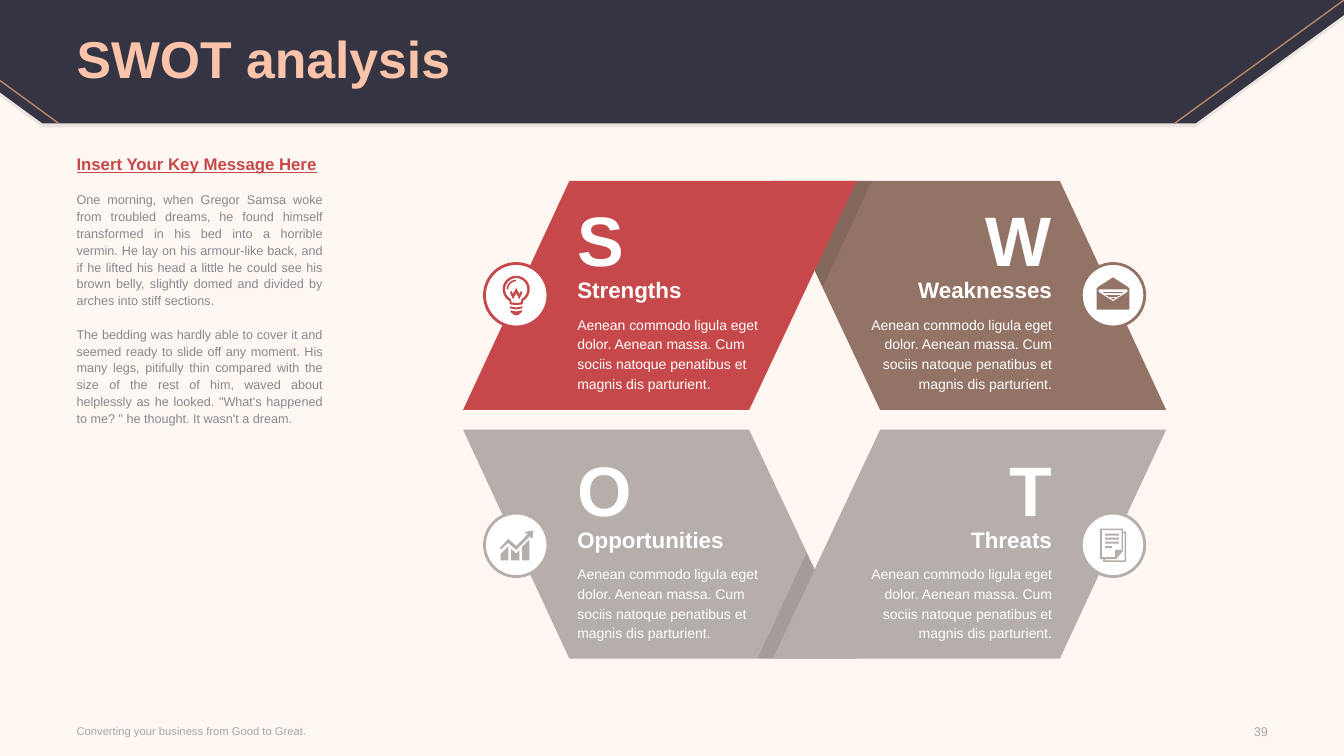
import math
import pptx
import pptx.dml.color
import pptx.enum.shapes
import pptx.enum.text
import pptx.oxml.ns
import pptx.util
from lxml import etree

Cm = pptx.util.Cm
Pt = pptx.util.Pt
RGBColor = pptx.dml.color.RGBColor
Align = pptx.enum.text.PP_ALIGN
Anchor = pptx.enum.text.MSO_ANCHOR
qn = pptx.oxml.ns.qn

CREAM = RGBColor(0xFF, 0xF7, 0xF2)
NAVY = RGBColor(0x34, 0x34, 0x42)
PEACH = RGBColor(0xFB, 0xC4, 0xAA)
BRONZE = RGBColor(0xB9, 0x87, 0x63)
RED = RGBColor(0xC7, 0x48, 0x4A)
BROWN = RGBColor(0x92, 0x73, 0x65)
STONE = RGBColor(0xB6, 0xAE, 0xAB)
SLATE = RGBColor(0x85, 0x89, 0x8F)
GREY = RGBColor(0xA6, 0xA6, 0xA6)
WHITE = RGBColor(0xFF, 0xFF, 0xFF)
BLACK = RGBColor(0, 0, 0)

WIDE, TALL = 33.87, 19.05
MID_X, MID_Y = 20.53, 10.58
STEP = 6.29


def put(para, text, size=10, color=WHITE, bold=False, under=False,
        align=Align.LEFT, lead=None, before=0):
    para.text = text
    para.alignment = align
    para.space_before = Pt(before)
    if lead:
        para.line_spacing = lead
    font = para.runs[0].font
    font.name = Deck.face
    font.size = Pt(size)
    font.bold = bold
    font.underline = under
    font.color.rgb = color


def arc(radius, start, end):
    turns = [math.radians(a) for a in range(start, end + 1, 8)]
    return [(radius * math.cos(t), radius * math.sin(t) - 0.15) for t in turns]


def bar(left, top, right, base):
    return [(left, top), (right, top), (right, base), (left, base)]


def shift(pts, dx, dy, sx=1, sy=1):
    return [(dx + sx * x, dy + sy * y) for x, y in pts]


class Deck:
    face = "Arial"

    def __init__(self):
        self.prs = pptx.Presentation()
        self.prs.slide_width = Cm(WIDE)
        self.prs.slide_height = Cm(TALL)
        self.slide = self.prs.slides.add_slide(self.prs.slide_layouts[5])
        self.shapes = self.slide.shapes
        fill = self.slide.background.fill
        fill.solid()
        fill.fore_color.rgb = CREAM

    def frame(self, shape, anchor):
        frame = shape.text_frame
        frame.word_wrap = True
        frame.vertical_anchor = anchor
        frame.margin_left = frame.margin_right = Cm(0)
        frame.margin_top = frame.margin_bottom = Cm(0)
        return frame

    def title(self, text, box, **fmt):
        shape = self.shapes.title
        shape.left, shape.top, shape.width, shape.height = map(Cm, box)
        put(self.frame(shape, Anchor.MIDDLE).paragraphs[0], text, **fmt)
        shape.element.getparent().append(shape.element)

    def text(self, box, items, anchor=Anchor.TOP):
        frame = self.frame(self.shapes.add_textbox(*map(Cm, box)), anchor)
        for i, (text, fmt) in enumerate(items):
            para = frame.add_paragraph() if i else frame.paragraphs[0]
            put(para, text, **fmt)

    def free(self, loops, color, alpha=None):
        loops = [[(Cm(x), Cm(y)) for x, y in loop] for loop in loops]
        pen = self.shapes.build_freeform(*loops[0][0], scale=1.0)
        for i, loop in enumerate(loops):
            if i:
                pen.move_to(*loop[0])
            pen.add_line_segments(loop[1:], close=True)
        shape = pen.convert_to_shape()
        shape.shadow.inherit = False
        shape.line.fill.background()
        shape.fill.solid()
        shape.fill.fore_color.rgb = color
        if alpha:
            tint = shape.fill._xPr.find(qn("a:solidFill"))[0]
            etree.SubElement(tint, qn("a:alpha"), val=str(alpha * 1000))

    def line(self, x1, y1, x2, y2, color):
        kind = pptx.enum.shapes.MSO_CONNECTOR.STRAIGHT
        line = self.shapes.add_connector(kind, Cm(x1), Cm(y1), Cm(x2), Cm(y2))
        line.line.color.rgb = color
        line.line.width = Pt(1)
        etree.SubElement(line.element.spPr, qn("a:effectLst"))

    def badge(self, x, y, color, icon):
        size = 1.6
        kind = pptx.enum.shapes.MSO_SHAPE.OVAL
        ring = self.shapes.add_shape(kind, Cm(x - size / 2), Cm(y - size / 2),
                                     Cm(size), Cm(size))
        ring.shadow.inherit = False
        ring.fill.solid()
        ring.fill.fore_color.rgb = WHITE
        ring.line.color.rgb = color
        ring.line.width = Pt(2)
        self.free([shift(loop, x, y) for loop in icon], color)


BULB = [
    arc(0.34, 118, 422) + [(0.17, 0.16), (0.16, 0.23), (0, 0.25), (-0.16, 0.23), (-0.17, 0.16)],
    arc(0.28, 118, 422) + [(0.12, 0.18), (0, 0.2), (-0.12, 0.18)],
    arc(0.24, 180, 270) + arc(0.2, 180, 270)[::-1],
    [(-0.16, -0.08), (-0.11, -0.1), (-0.08, -0.03), (0, -0.18), (0.08, -0.03),
     (0.11, -0.1), (0.16, -0.08), (0.08, 0.1), (0, -0.05), (-0.08, 0.1)],
    [(-0.16, 0.28), (0, 0.31), (0.16, 0.28), (0.15, 0.33), (0, 0.36), (-0.15, 0.33)],
    [(-0.14, 0.38), (0, 0.41), (0.14, 0.38), (0.14, 0.43), (0.09, 0.46),
     (0.07, 0.49), (0, 0.51), (-0.07, 0.49), (-0.09, 0.46), (-0.14, 0.43)],
]
MAIL = [
    [(-0.41, -0.17), (-0.36, -0.22), (0, -0.45), (0.36, -0.22), (0.41, -0.17),
     (0.41, 0.36), (-0.41, 0.36)],
    [(-0.36, -0.15), (0.36, -0.15), (0.36, -0.08), (0, 0.15), (-0.36, -0.08)],
    bar(-0.24, -0.08, 0.24, -0.05),
    [(-0.19, 0), (0.19, 0), (0.11, 0.04), (-0.11, 0.04)],
    [(-0.06, 0.07), (0.06, 0.07), (0, 0.11)],
]
CHART = [
    [(-0.39, 0.23), (-0.2, 0.03), (-0.2, 0.39), (-0.39, 0.39)],
    [(-0.13, 0.1), (0, 0.22), (0.08, 0.13), (0.08, 0.39), (-0.13, 0.39)],
    [(0.15, 0.05), (0.33, -0.13), (0.33, 0.39), (0.15, 0.39)],
    [(-0.42, 0.09), (-0.2, -0.15), (0, 0.03), (0.3, -0.28), (0.23, -0.28),
     (0.23, -0.33), (0.43, -0.36), (0.41, -0.17), (0.36, -0.17), (0.36, -0.23),
     (0, 0.13), (-0.2, -0.05), (-0.38, 0.11)],
]
PAPER = [
    [(-0.33, -0.41), (0.25, -0.41), (0.25, -0.33), (0.33, -0.33), (0.33, 0.43),
     (-0.25, 0.43), (-0.25, 0.36), (-0.33, 0.36)],
    [(-0.28, -0.37), (0.22, -0.37), (0.22, 0.13), (0.05, 0.13), (0.05, 0.31), (-0.28, 0.31)],
    [(0.29, 0.39), (-0.2, 0.39), (-0.2, 0.36), (0.08, 0.36), (0.25, 0.15),
     (0.25, -0.29), (0.29, -0.29)],
] + [bar(-0.2, y, x, y + 0.05)
     for y, x in ((-0.28, 0.15), (-0.18, 0.15), (-0.08, 0.15), (0.03, -0.03))]

PANEL = [(-8.86, -0.25), (-6.18, -6.02), (1.06, -6.02), (-1.65, -0.25)]
SHADE = [(1.06, -6.02), (1.44, -6.02), (0.2, -3.35), (0, -3.78)]
BLURB = ("Aenean commodo ligula eget dolor. Aenean massa. Cum sociis natoque "
         "penatibus et magnis dis parturient.")
SWOT = [
    ("W", "Weaknesses", 1, 0, BROWN, MAIL),
    ("O", "Opportunities", -1, 1, STONE, CHART),
    ("T", "Threats", 1, 1, STONE, PAPER),
    ("S", "Strengths", -1, 0, RED, BULB),
]
STORY = [
    "One morning, when Gregor Samsa woke from troubled dreams, he found himself "
    "transformed in his bed into a horrible vermin. He lay on his armour-like back, "
    "and if he lifted his head a little he could see his brown belly, slightly domed "
    "and divided by arches into stiff sections.",
    "The bedding was hardly able to cover it and seemed ready to slide off any moment. "
    "His many legs, pitifully thin compared with the size of the rest of him, waved "
    "about helplessly as he looked. \"What's happened to me? \" he thought. It wasn't a dream.",
]


def main():
    deck = Deck()
    band = [(0, 0), (WIDE, 0), (WIDE, 0.38), (30.13, 3.11), (1.07, 3.11), (0, 2.33)]
    deck.free([shift(band, 0, 0.1)], NAVY, alpha=10)
    deck.free([band], NAVY)
    deck.line(WIDE, 0, 29.6, 3.11, BRONZE)
    deck.line(0, 2.03, 1.48, 3.11, BRONZE)
    deck.title("SWOT analysis", (1.93, 0.08, 30, 2.97), size=37, color=PEACH,
               bold=True, lead=0.9)

    base = dict(align=Align.JUSTIFY, lead=Pt(12))
    head = dict(base, size=12, color=RED, bold=True, under=True)
    prose = dict(base, size=9, color=SLATE, before=12)
    deck.text((1.93, 3.96, 6.2, 13.18), [("Insert Your Key Message Here", head)]
              + [(text, prose) for text in STORY])

    for mark, name, side, row, color, icon in SWOT:
        if mark == "S":
            for turn in (1, -1):
                deck.free([shift(SHADE, MID_X, MID_Y, turn, turn)], BLACK, alpha=10)
        deck.free([shift(PANEL, MID_X, MID_Y, -side, 1 - 2 * row)], color)
        deck.badge(MID_X + 7.52 * side, 7.44 + STEP * row, color, icon)

    for mark, name, side, row, color, icon in SWOT:
        left = MID_X + (1.05 if side > 0 else -5.98)
        align = Align.RIGHT if side > 0 else Align.LEFT
        for top, high, text, fmt in ((7.9, 2.01, BLURB, dict(size=10, lead=Pt(14))),
                                     (6.96, 0.69, name, dict(size=16, bold=True)),
                                     (4.95, 2.13, mark, dict(size=50, bold=True))):
            deck.text((left, top + STEP * row, 4.93, high), [(text, dict(fmt, align=align))])

    deck.text((1.93, 18.08, 13.28, 0.66), [("Converting your business from Good to Great.",
              dict(size=8, color=GREY))], Anchor.MIDDLE)
    deck.text((30.35, 18.11, 1.6, 0.66), [("39", dict(size=9, color=GREY, align=Align.RIGHT))],
              Anchor.MIDDLE)
    deck.prs.save("out.pptx")


if __name__ == "__main__":
    main()
